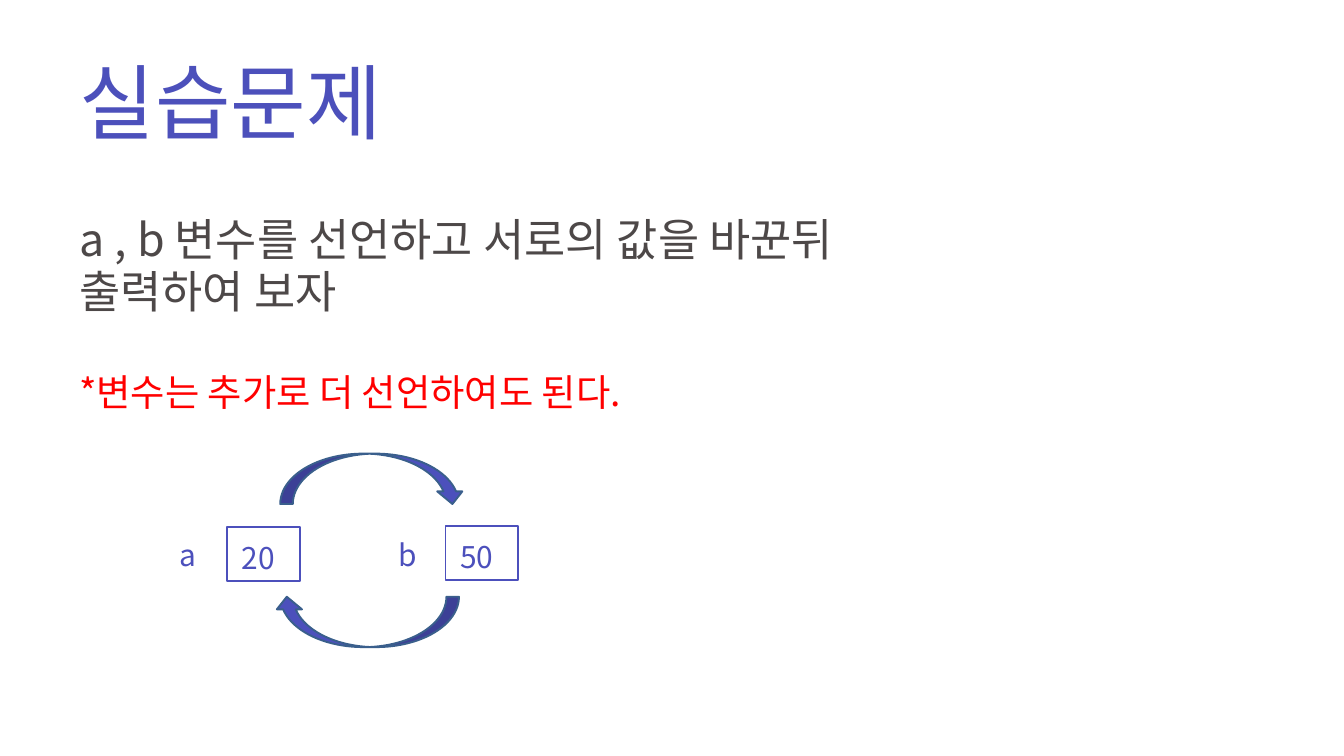
from dataclasses import dataclass

from lxml.etree import SubElement
from pptx import Presentation
from pptx.dml.color import RGBColor
from pptx.enum.shapes import MSO_SHAPE as Shape
from pptx.enum.text import MSO_ANCHOR as Anchor, MSO_AUTO_SIZE as AutoSize, PP_ALIGN as Align
from pptx.oxml.ns import qn
from pptx.util import Emu, Pt

PX = 9144  # 100 px to the inch
FONT = "Noto Sans CJK KR"
TITLE_BLUE = RGBColor(0x4C, 0x50, 0xBB)
BLUE = RGBColor(0x4C, 0x50, 0xBC)
ARROW_LINE = RGBColor(0x3A, 0x5F, 0x8C)
GRAY = RGBColor(0x4D, 0x48, 0x48)
RED = RGBColor(0xFF, 0x00, 0x00)


@dataclass(frozen=True)
class Box:
    left: int
    top: int
    width: int
    height: int

    def emu(self) -> tuple[Emu, ...]:
        return tuple(Emu(v * PX) for v in (self.left, self.top, self.width, self.height))


@dataclass(frozen=True)
class Line:
    text: str
    size: int
    color: RGBColor
    before: int = 0


@dataclass(frozen=True)
class Variable:
    name: str
    value: str
    left: int
    cell_top: int


@dataclass(frozen=True)
class SwapArrow:
    box: Box
    rotation: int


VARIABLES = [Variable("a", "20", 258, 784), Variable("b", "50", 583, 783)]
ARROWS = [
    SwapArrow(Box(417, 675, 275, 75), 0),
    SwapArrow(Box(408, 888, 275, 75), 180),
]


def fill_text(sp, lines: list[Line], wrap: bool = True) -> None:
    """Write left-aligned, unbulleted lines with a tight line pitch."""
    tf = sp.text_frame
    tf.text = "\n".join(line.text for line in lines)
    tf.auto_size = AutoSize.NONE
    tf.word_wrap = wrap
    tf.vertical_anchor = Anchor.TOP
    tf.margin_left = tf.margin_right = Pt(7.2)
    tf.margin_top = Pt(3.6 + lines[0].size * 0.1)
    tf.margin_bottom = 0
    for p, line in zip(tf.paragraphs, lines):
        p.alignment = Align.LEFT
        p.line_spacing = Pt(round(line.size * 1.17))
        p.space_before = Pt(line.before)
        p.space_after = Pt(0)
        pPr = p._p.get_or_add_pPr()
        pPr.set("marL", "0")
        pPr.set("indent", "0")
        SubElement(pPr, qn("a:buNone"))
        for r in p.runs:
            r.font.name = FONT
            r.font.size = Pt(line.size)
            r.font.color.rgb = line.color
            SubElement(r.font._element, qn("a:ea")).set("typeface", FONT)


def fill_placeholder(sp, box: Box, lines: list[Line], wrap: bool = True) -> None:
    sp.left, sp.top, sp.width, sp.height = box.emu()
    fill_text(sp, lines, wrap)


def add_label(slide, box: Box, text: str) -> None:
    fill_text(slide.shapes.add_textbox(*box.emu()), [Line(text, 32, BLUE)])


def add_outlined(slide, kind: Shape, box: Box, line_color: RGBColor):
    sp = slide.shapes.add_shape(kind, *box.emu())
    sp.shadow.inherit = False
    sp.fill.background()
    sp.line.color.rgb = line_color
    sp.line.width = Pt(2)
    return sp


def add_variable(slide, var: Variable) -> None:
    add_label(slide, Box(var.left, 791, 75, 64), var.name)
    add_outlined(slide, Shape.RECTANGLE, Box(var.left + 80, var.cell_top, 108, 80), BLUE)
    add_label(slide, Box(var.left + 92, var.cell_top + 11, 87, 64), var.value)


def add_swap_arrow(slide, arrow: SwapArrow) -> None:
    sp = add_outlined(slide, Shape.CURVED_DOWN_ARROW, arrow.box, ARROW_LINE)
    sp.fill.solid()
    sp.fill.fore_color.rgb = BLUE
    sp.rotation = arrow.rotation


def main() -> None:
    prs = Presentation()
    prs.slide_width, prs.slide_height = Emu(2000 * PX), Emu(1125 * PX)
    slide = prs.slides.add_slide(prs.slide_layouts[1])

    fill_placeholder(slide.shapes.title, Box(109, 63, 495, 158),
                     [Line("실습문제", 88, TITLE_BLUE)], wrap=False)
    fill_placeholder(slide.placeholders[1], Box(108, 305, 1258, 320), [
        Line("a , b 변수를 선언하고 서로의 값을 바꾼뒤 출력하여 보자", 48, GRAY),
        Line("*변수는 추가로 더 선언하여도 된다.", 40, RED, before=57),
    ])
    for var in VARIABLES:
        add_variable(slide, var)
    for arrow in ARROWS:
        add_swap_arrow(slide, arrow)
    prs.save("out.pptx")


if __name__ == "__main__":
    main()
